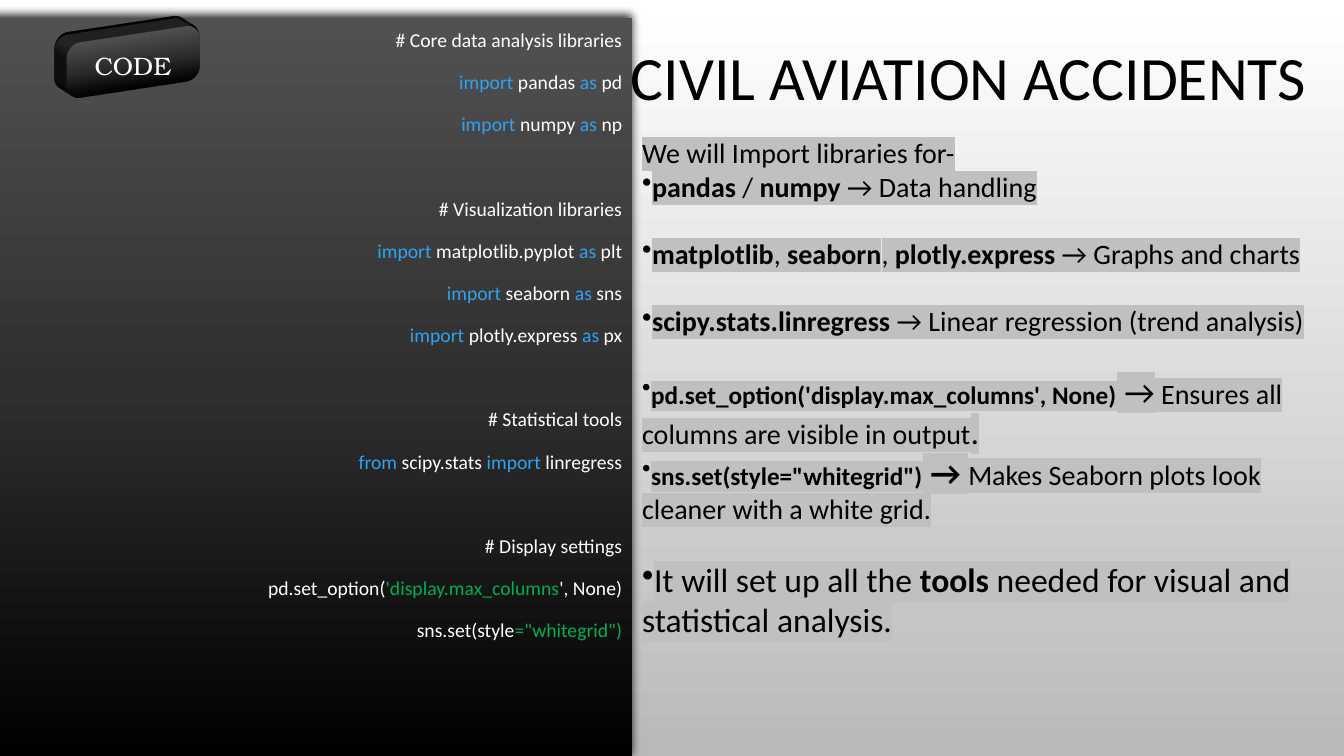
import pptx
import pptx.util
import pptx.oxml
import pptx.oxml.ns
import pptx.dml.color
import pptx.enum.shapes
import pptx.enum.text

Inches = pptx.util.Inches
Pt = pptx.util.Pt
RGBColor = pptx.dml.color.RGBColor
Align = pptx.enum.text.PP_ALIGN
Anchor = pptx.enum.text.MSO_ANCHOR

BLACK = RGBColor(0x00, 0x00, 0x00)
WHITE = RGBColor(0xFF, 0xFF, 0xFF)
BLUE = RGBColor(0x2F, 0xA3, 0xEE)
GREEN = RGBColor(0x00, 0xB0, 0x50)
HIGHLIGHT = RGBColor(0xC0, 0xC0, 0xC0)
LIGHT_STOPS = [(0, WHITE), (81, RGBColor(0xC6, 0xC6, 0xC6)), (100, RGBColor(0xB9, 0xB9, 0xB9))]
DARK_STOPS = [(0, RGBColor(0x51, 0x51, 0x51)), (50, RGBColor(0x2F, 0x2F, 0x2F)), (100, BLACK)]
NAMESPACE = pptx.oxml.ns.nsdecls("a")


def set_gradient(fill, holder, stops):
    fill.gradient()
    fill.gradient_angle = 270
    stop_list = next(holder.iter(pptx.oxml.ns.qn("a:gsLst")))
    for old_stop in list(stop_list):
        stop_list.remove(old_stop)
    for percent, color in stops:
        stop_list.append(pptx.oxml.parse_xml(
            f'<a:gs {NAMESPACE} pos="{percent * 1000}"><a:srgbClr val="{color}"/></a:gs>'))


def add_span(para, text, size, color, **formats):
    span = para.add_run()
    span.text = text
    span.font.color.rgb = color
    for name, value in {"size": Pt(size), "name": "Calibri", **formats}.items():
        setattr(span.font, name, value)
    return span


deck = pptx.Presentation()
deck.slide_width = Inches(13.33)
deck.slide_height = Inches(7.5)
page = deck.slides.add_slide(deck.slide_layouts[6])
set_gradient(page.background.fill, page.element, LIGHT_STOPS)

title = page.shapes.add_textbox(Inches(6.04), Inches(0.33), Inches(7.14), Inches(0.85))
title.text_frame.word_wrap = True
title.text_frame.vertical_anchor = Anchor.BOTTOM
para = title.text_frame.paragraphs[0]
para.alignment = Align.CENTER
para.line_spacing = 0.9
add_span(para, "CIVIL AVIATION ACCIDENTS", 44, BLACK)

dark_boxes = []
for left, top, width, height, corner, anchor in [
    (-0.49, 0.18, 6.76, 7.34, 0, Anchor.TOP),
    (0.59, 0.33, 1.46, 0.57, 0.26, Anchor.MIDDLE),
]:
    box = page.shapes.add_shape(
        pptx.enum.shapes.MSO_SHAPE.ROUNDED_RECTANGLE,
        Inches(left), Inches(top), Inches(width), Inches(height))
    box.adjustments[0] = corner
    set_gradient(box.fill, box.element, DARK_STOPS)
    box.line.fill.background()
    box.element.spPr.append(pptx.oxml.parse_xml(
        f'<a:effectLst {NAMESPACE}><a:outerShdw blurRad="76200" dist="25400" dir="16200000">'
        '<a:srgbClr val="000000"><a:alpha val="80000"/></a:srgbClr></a:outerShdw></a:effectLst>'))
    box.text_frame.word_wrap = True
    box.text_frame.vertical_anchor = anchor
    dark_boxes.append(box)
code_panel, code_button = dark_boxes

code_groups = [
    [
        [("# Core data analysis libraries", WHITE)],
        [("import", BLUE), (" pandas ", WHITE), ("as", BLUE), (" pd", WHITE)],
        [("import ", BLUE), ("numpy ", WHITE), ("as", BLUE), (" np", WHITE)],
    ],
    [
        [("# Visualization libraries", WHITE)],
        [("import ", BLUE), ("matplotlib.pyplot ", WHITE), ("as ", BLUE), ("plt", WHITE)],
        [("import", BLUE), (" seaborn ", WHITE), ("as ", BLUE), ("sns", WHITE)],
        [("import ", BLUE), ("plotly.express ", WHITE), ("as ", BLUE), ("px", WHITE)],
    ],
    [
        [("# Statistical tools", WHITE)],
        [("from ", BLUE), ("scipy.stats ", WHITE), ("import ", BLUE), ("linregress", WHITE)],
    ],
    [
        [("# Display settings", WHITE)],
        [("pd.set_option(", WHITE), ("'display.max_columns", GREEN), ("', None)", WHITE)],
        [("sns.set(style", WHITE), ('="whitegrid")', GREEN)],
    ],
]
frame = code_panel.text_frame
for group_index, group in enumerate(code_groups):
    for line_index, code_line in enumerate(group):
        first = group_index == 0 and line_index == 0
        para = frame.paragraphs[0] if first else frame.add_paragraph()
        para.alignment = Align.RIGHT
        para.line_spacing = 1.2
        para.space_before = Pt(40 if group_index and line_index == 0 else 10)
        for text, color in code_line:
            add_span(para, text, 14, color)

para = code_button.text_frame.paragraphs[0]
para.alignment = Align.CENTER
para.line_spacing = 1.2
add_span(para, "CODE", 18, WHITE, name="TeX Gyre Bonum")
for depth_part in [
    f'<a:scene3d {NAMESPACE}><a:camera prst="isometricOffAxis1Right"/>'
    '<a:lightRig rig="threePt" dir="t"/></a:scene3d>',
    f'<a:sp3d {NAMESPACE} extrusionH="254000"/>',
]:
    code_button.element.spPr.append(pptx.oxml.parse_xml(depth_part))

notes_box = page.shapes.add_textbox(Inches(6.27), Inches(1.27), Inches(6.85), Inches(5.15))
frame = notes_box.text_frame
frame.word_wrap = True
frame.vertical_anchor = Anchor.MIDDLE
library_notes = [
    (0, False, [("We will Import libraries for-", 20, False)]),
    (0, True, [("pandas", 20, True), (" / ", 20, False), ("numpy", 20, True),
               (" → Data handling", 20, False)]),
    (24, True, [("matplotlib", 20, True), (", ", 20, False), ("seaborn", 20, True),
                (", ", 20, False), ("plotly.express", 20, True),
                (" → Graphs and charts", 20, False)]),
    (24, True, [("scipy.stats.linregress", 20, True),
                (" → Linear regression (trend analysis)", 20, False)]),
    (24, True, [("pd.set_option('display.max_columns', None)", 18, True), (" ", 24, True),
                ("→", 24, False), (" Ensures all columns are visible in output", 20, False),
                (".", 24, False)]),
    (0, True, [('sns.set(style="whitegrid")', 18, True), (" → ", 24, True),
               ("Makes Seaborn plots look cleaner with a white grid.", 20, False)]),
    (24, True, [("It will set up all the ", 24, False), ("tools", 24, True),
                (" needed for visual and statistical analysis.", 24, False)]),
]
for index, (gap, bulleted, spans) in enumerate(library_notes):
    para = frame.add_paragraph() if index else frame.paragraphs[0]
    para.space_before = Pt(gap)
    if bulleted:
        properties = para._p.get_or_add_pPr()
        properties.set("marL", "0")
        properties.set("indent", "0")
        properties.append(pptx.oxml.parse_xml(f'<a:buChar {NAMESPACE} char="•"/>'))
    for text, size, bold in spans:
        span = add_span(para, text, size, BLACK, bold=bold)
        color_fill = span._r.rPr.find(pptx.oxml.ns.qn("a:solidFill"))
        color_fill.addnext(pptx.oxml.parse_xml(
            f'<a:highlight {NAMESPACE}><a:srgbClr val="{HIGHLIGHT}"/></a:highlight>'))

deck.save("out.pptx")
